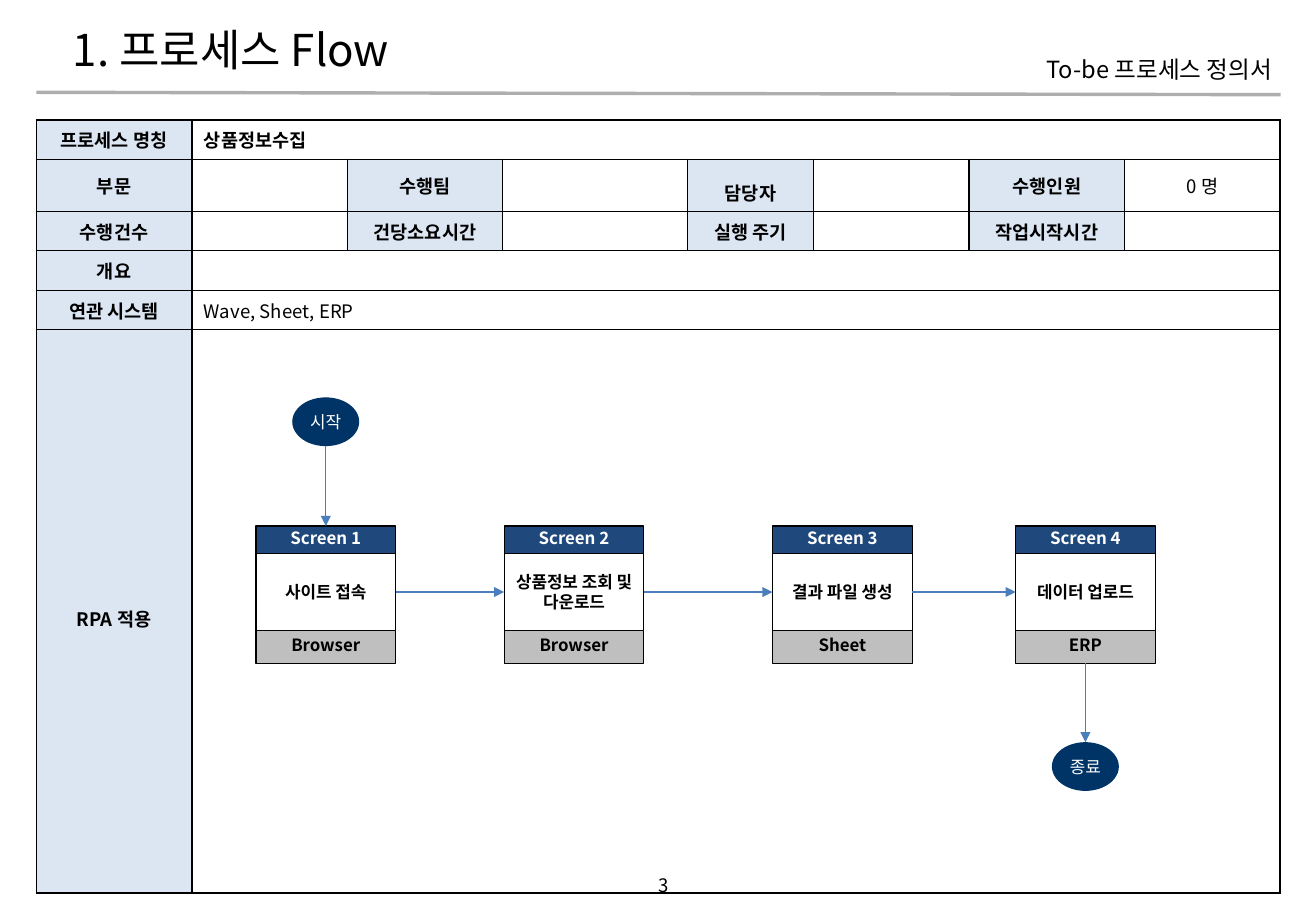
from dataclasses import dataclass

from lxml.etree import SubElement
from pptx import Presentation
from pptx.dml.color import RGBColor
from pptx.enum.shapes import MSO_CONNECTOR, MSO_SHAPE
from pptx.enum.text import MSO_ANCHOR, PP_ALIGN
from pptx.oxml import parse_xml
from pptx.oxml.ns import nsdecls, qn
from pptx.util import Cm, Pt

TITLE = "1. 프로세스 Flow"
DOC_NAME = "To-be 프로세스 정의서"
PAGE = "3"

# One list per table row; a row of two entries spans its second cell to the right edge.
ROWS = [
    ["프로세스 명칭", "상품정보수집"],
    ["부문", "", "수행팀", "", "담당자", "", "수행인원", "0 명"],
    ["수행건수", "", "건당소요시간", "", "실행 주기", "", "작업시작시간", ""],
    ["개요", ""],
    ["연관 시스템", "Wave, Sheet, ERP"],
    ["RPA 적용", ""],
]
BOLD_VALUES = {"상품정보수집"}
WIDE_SPACED = {"담당자", "RPA 적용"}
COL_WIDTHS = [3.25, 3.25, 3.25, 3.86, 2.64, 3.25, 3.25, 3.25]
ROW_HEIGHTS = [0.82, 1.09, 0.82, 0.83, 0.82, 11.78]

# Left edge, task, application
SCREENS = [
    (5.35, "사이트 접속", "Browser"),
    (10.54, "상품정보 조회 및\n다운로드", "Browser"),
    (16.15, "결과 파일 생성", "Sheet"),
    (21.23, "데이터 업로드", "ERP"),
]
CARD_TOP, CARD_W = 11.0, 2.92
HEAD_H, TASK_H, APP_H = 0.58, 1.6, 0.69
CARD_BOTTOM = CARD_TOP + HEAD_H + TASK_H + APP_H
NODE_W, NODE_H = 1.4, 1.02
START_TOP, END_TOP = 8.31, 15.52


@dataclass(frozen=True)
class Theme:
    font: str = "Noto Sans CJK KR"
    black: str = "000000"
    white: str = "FFFFFF"
    label: str = "DCE6F2"
    head: str = "1F497D"
    app: str = "BFBFBF"
    node: str = "003366"
    arrow: str = "4B7EBC"
    rule: str = "AEAEAE"
    title_size: int = 26
    doc_size: int = 14
    table_size: int = 11
    flow_size: int = 10


T = Theme()


def rgb(value):
    return RGBColor.from_string(value)


def write(tf, text, size, color=T.black, bold=False, align=PP_ALIGN.CENTER, spacing=None):
    tf.text = text
    tf.word_wrap = True
    tf.vertical_anchor = MSO_ANCHOR.MIDDLE
    for p in tf.paragraphs:
        p.alignment = align
        if spacing:
            p.line_spacing = spacing
        for r in p.runs:
            r.font.name, r.font.size, r.font.bold = T.font, Pt(size), bold
            r.font.color.rgb = rgb(color)
            SubElement(r.font._element, qn("a:ea"), typeface=T.font)
        if not p.runs:
            SubElement(p._p, qn("a:endParaRPr"), sz=str(size * 100))


def add_text(slide, box, text, size, align):
    sp = slide.shapes.add_textbox(*map(Cm, box))
    write(sp.text_frame, text, size, align=align)


def add_line(slide, start, end, color, width, arrow=False):
    line = slide.shapes.add_connector(MSO_CONNECTOR.STRAIGHT, *map(Cm, start + end))
    line.line.color.rgb = rgb(color)
    line.line.width = Pt(width)
    if arrow:
        SubElement(line.line._get_or_add_ln(), qn("a:tailEnd"), type="triangle")
    SubElement(line._element.spPr, qn("a:effectLst"))


def add_block(shapes, kind, box, text, fill, color, bold=True, outline=True, inset=0.23, spacing=None):
    sp = shapes.add_shape(kind, *map(Cm, box))
    sp.shadow.inherit = False
    sp.fill.solid()
    sp.fill.fore_color.rgb = rgb(fill)
    if outline:
        sp.line.color.rgb = rgb(T.black)
        sp.line.width = Pt(0.75)
    else:
        sp.line.fill.background()
    tf = sp.text_frame
    tf.margin_left = tf.margin_right = Cm(inset)
    tf.margin_top = tf.margin_bottom = Cm(inset / 2)
    write(tf, text, T.flow_size, color, bold, spacing=spacing)


def add_borders(cell):
    tc_pr = cell._tc.get_or_add_tcPr()
    for i, side in enumerate(("lnL", "lnR", "lnT", "lnB")):
        tc_pr.insert(i, parse_xml(
            f'<a:{side} {nsdecls("a")} w="12700"><a:solidFill>'
            f'<a:srgbClr val="{T.black}"/></a:solidFill></a:{side}>'))


def add_process_table(slide):
    frame = slide.shapes.add_table(
        len(ROWS), len(COL_WIDTHS), Cm(0.76), Cm(2.51),
        Cm(sum(COL_WIDTHS)), Cm(sum(ROW_HEIGHTS)))
    table = frame.table
    table.first_row = table.horz_banding = False
    for col, width in zip(table.columns, COL_WIDTHS):
        col.width = Cm(width)
    for y, (row, height) in enumerate(zip(ROWS, ROW_HEIGHTS)):
        table.rows[y].height = Cm(height)
        spans = len(row) == 2
        if spans:
            table.cell(y, 1).merge(table.cell(y, len(COL_WIDTHS) - 1))
        for x in range(len(COL_WIDTHS)):
            cell = table.cell(y, x)
            text = row[x] if x < len(row) else ""
            is_label = x % 2 == 0 and x < len(row)
            if is_label:
                cell.fill.solid()
                cell.fill.fore_color.rgb = rgb(T.label)
            else:
                cell.fill.background()
            write(cell.text_frame, text, T.table_size,
                  bold=is_label or text in BOLD_VALUES,
                  align=PP_ALIGN.LEFT if spans and x else PP_ALIGN.CENTER,
                  spacing=1.5 if text in WIDE_SPACED else None)
            cell.vertical_anchor = MSO_ANCHOR.MIDDLE
            add_borders(cell)


def add_screen(slide, number, left, task, app):
    shapes = slide.shapes.add_group_shape().shapes
    top = CARD_TOP
    for text, height, fill, color, spacing in (
        (f"Screen {number}", HEAD_H, T.head, T.white, 0.8),
        (task, TASK_H, T.white, T.black, None),
        (app, APP_H, T.app, T.black, 0.8),
    ):
        add_block(shapes, MSO_SHAPE.RECTANGLE, (left, top, CARD_W, height),
                  text, fill, color, spacing=spacing)
        top += height


def add_node(slide, center, top, text):
    add_block(slide.shapes, MSO_SHAPE.OVAL, (center - NODE_W / 2, top, NODE_W, NODE_H),
              text, T.node, T.white, bold=False, outline=False, inset=0)


def add_flow(slide):
    for number, screen in enumerate(SCREENS, 1):
        add_screen(slide, number, *screen)
    lefts = [screen[0] for screen in SCREENS]
    first, last = lefts[0] + CARD_W / 2, lefts[-1] + CARD_W / 2
    add_node(slide, first, START_TOP, "시작")
    add_node(slide, last, END_TOP, "종료")
    middle = CARD_TOP + HEAD_H + TASK_H / 2
    arrows = [((a + CARD_W, middle), (b, middle)) for a, b in zip(lefts, lefts[1:])]
    arrows.append(((first, START_TOP + NODE_H), (first, CARD_TOP)))
    arrows.append(((last, CARD_BOTTOM), (last, END_TOP)))
    for start, end in arrows:
        add_line(slide, start, end, T.arrow, 0.75, arrow=True)


def main():
    prs = Presentation()
    prs.slide_width, prs.slide_height = Cm(27.51), Cm(19.05)
    slide = prs.slides.add_slide(prs.slide_layouts[5])
    title = slide.shapes.title
    title.left, title.top, title.width, title.height = map(Cm, (1.27, 0.33, 18.69, 1.4))
    write(title.text_frame, TITLE, T.title_size, align=PP_ALIGN.LEFT)
    add_line(slide, (0.76, 1.93), (26.77, 1.98), T.rule, 2)
    add_text(slide, (20.93, 1.02, 5.92, 0.86), DOC_NAME, T.doc_size, PP_ALIGN.RIGHT)
    add_process_table(slide)
    add_flow(slide)
    add_text(slide, (13.18, 18.16, 1.37, 0.71), PAGE, T.table_size, PP_ALIGN.CENTER)
    prs.save("out.pptx")


if __name__ == "__main__":
    main()
